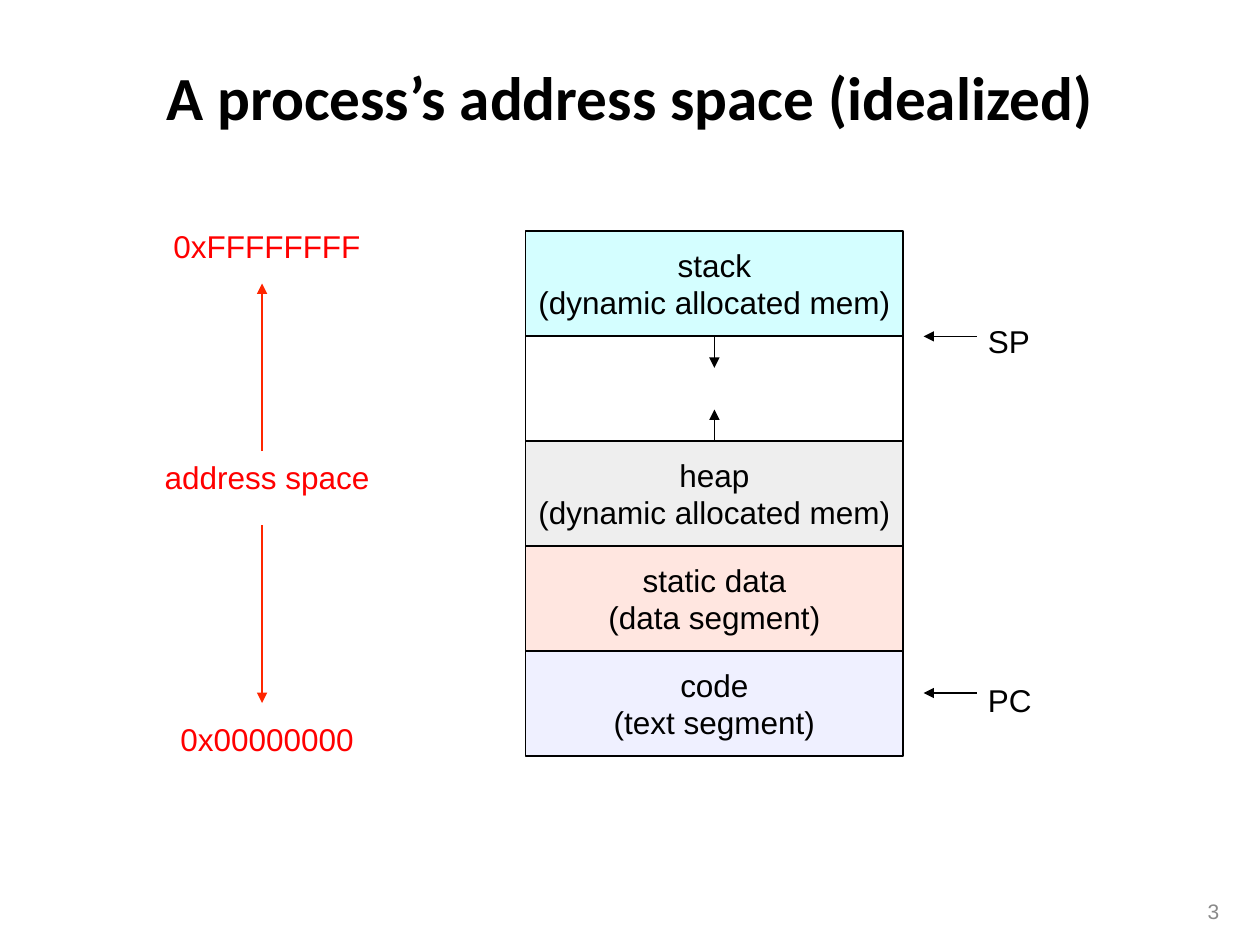
"""Build the slide on the idealized address space of a process."""
from lxml import etree
from pptx import Presentation
from pptx.dml.color import RGBColor
from pptx.enum.shapes import MSO_CONNECTOR, MSO_SHAPE
from pptx.enum.text import MSO_ANCHOR, PP_ALIGN
from pptx.oxml.ns import qn
from pptx.util import Inches, Pt

RECT, STRAIGHT = MSO_SHAPE.RECTANGLE, MSO_CONNECTOR.STRAIGHT
MIDDLE, LEFT, CENTER = MSO_ANCHOR.MIDDLE, PP_ALIGN.LEFT, PP_ALIGN.CENTER
BLACK, RED, ARROW_RED, GRAY = "000000", "FF0000", "FF2600", "898989"


def color(value):
    """Return the colour for a hex string."""
    return RGBColor.from_string(value)


def write(sp, lines, ink=BLACK, align=CENTER, size=18, name="Arial", bold=False, spacing=None):
    """Put formatted lines of text into a shape."""
    tf = sp.text_frame
    frame = dict(word_wrap=True, vertical_anchor=MIDDLE,
                 margin_left=0, margin_right=0, margin_top=0, margin_bottom=0)
    for key, value in frame.items():
        setattr(tf, key, value)
    tf.text = "\n".join(lines)
    for p in tf.paragraphs:
        p.alignment = align
        p.line_spacing = spacing
        font = p.runs[0].font
        for key, value in dict(size=Pt(size), name=name, bold=bold).items():
            setattr(font, key, value)
        font.color.rgb = color(ink)


prs = Presentation()
prs.slide_width, prs.slide_height = Inches(10), Inches(7.5)
s = prs.slides.add_slide(prs.slide_layouts[6])

labels = [
    (1.26, 0.46, 7.48, 0.6, "A process’s address space (idealized)",
     dict(size=35, name="Calibri", bold=True)),
    (1.24, 1.79, 1.76, 0.33, "0xFFFFFFFF", dict(ink=RED)),
    (1.24, 3.62, 1.76, 0.33, "address space", dict(ink=RED)),
    (1.24, 5.7, 1.76, 0.33, "0x00000000", dict(ink=RED)),
    (7.84, 2.54, 0.5, 0.33, "SP", dict(align=LEFT)),
    (7.84, 5.39, 0.5, 0.33, "PC", dict(align=LEFT)),
    (9.49, 7.13, 0.28, 0.21, "3", dict(ink=GRAY, size=12)),
]
for x, y, w, h, text, style in labels:
    sp = s.shapes.add_textbox(Inches(x), Inches(y), Inches(w), Inches(h))
    write(sp, [text], **style)

segments = [
    ("D4FEFF", ["stack", "(dynamic allocated mem)"]),
    (None, []),
    ("EEEEEE", ["heap", "(dynamic allocated mem)"]),
    ("FFE6E0", ["static data", "(data segment)"]),
    ("EFF0FF", ["code", "(text segment)"]),
]
top, height = 11 / 6, 5 / 6
for i, (fill, lines) in enumerate(segments):
    sp = s.shapes.add_shape(RECT, Inches(4.17), Inches(top + i * height), Inches(3), Inches(height))
    sp.shadow.inherit = False
    sp.line.color.rgb = color(BLACK)
    sp.line.width = Pt(1)
    if fill:
        sp.fill.solid()
        sp.fill.fore_color.rgb = color(fill)
        write(sp, lines, spacing=Pt(21.3))
    else:
        sp.fill.background()

arrows = [
    (2.08, 3.58, 2.08, 2.25, ARROW_RED),
    (2.08, 4.17, 2.08, 5.58, ARROW_RED),
    (5.67, 2.67, 5.67, 2.92, BLACK),
    (5.67, 3.5, 5.67, 3.25, BLACK),
    (7.75, 2.67, 7.33, 2.67, BLACK),
    (7.75, 5.5, 7.33, 5.5, BLACK),
]
for x1, y1, x2, y2, ink in arrows:
    arrow = s.shapes.add_connector(STRAIGHT, Inches(x1), Inches(y1), Inches(x2), Inches(y2))
    arrow.line.color.rgb = color(ink)
    arrow.line.width = Pt(1)
    etree.SubElement(arrow.line._get_or_add_ln(), qn("a:tailEnd"), type="triangle")
    etree.SubElement(arrow._element.spPr, qn("a:effectLst"))

prs.save("out.pptx")
